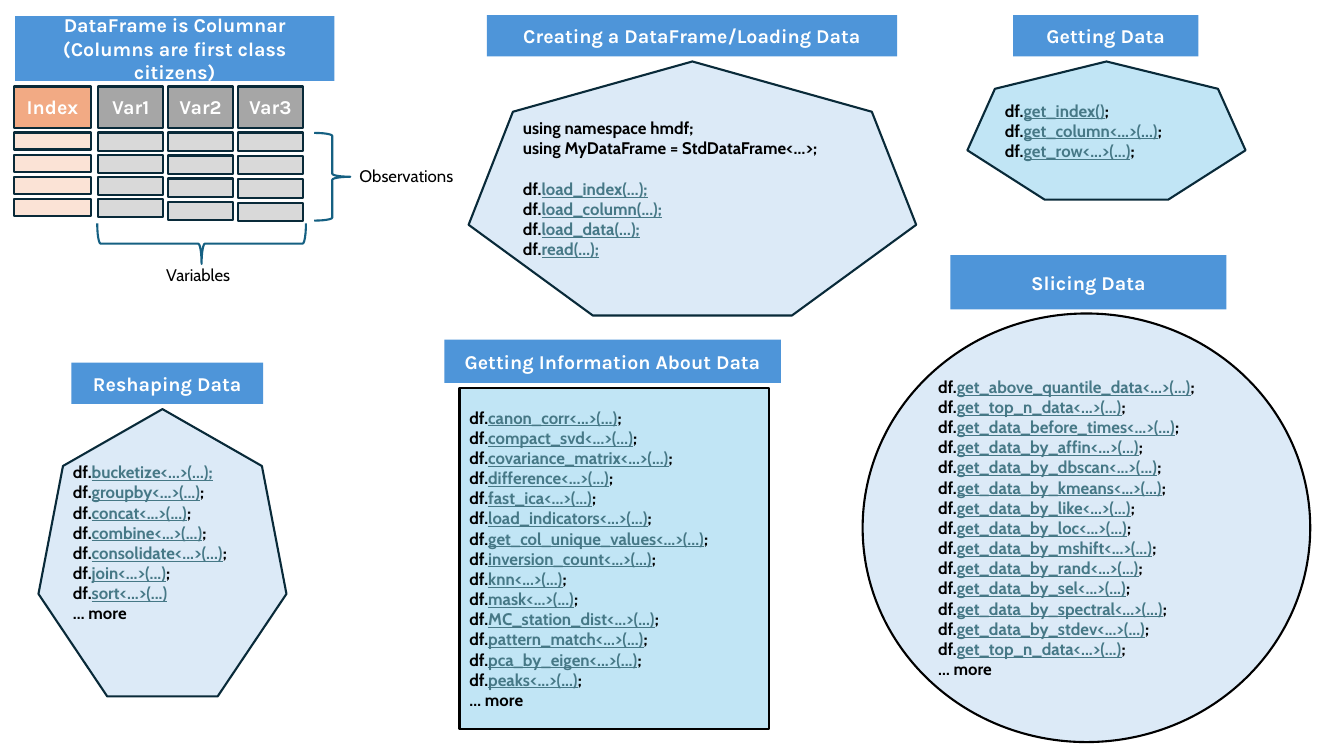
import pptx
import pptx.dml.color
import pptx.enum.shapes
import pptx.enum.text
import pptx.util

Cm = pptx.util.Cm
Pt = pptx.util.Pt
Shape = pptx.enum.shapes.MSO_SHAPE
Align = pptx.enum.text.PP_ALIGN
Anchor = pptx.enum.text.MSO_ANCHOR


def color(value):
    return pptx.dml.color.RGBColor.from_string(value)


def call(name, arguments="<...>(...)", ending=";"):
    return "df.", name + arguments, ending


def calls(names):
    return [call(name) for name in names.split()]


class CheatSheet:
    heading_font = "Karla"
    body_font = "Cabin"
    white = "FFFFFF"
    black = "000000"
    navy = "092A39"
    teal = "156082"
    link = "467886"
    banner = "4E95D9"
    pale = "DCEAF7"
    aqua = "C1E5F5"

    def __init__(self, deck):
        self.page = deck.slides.add_slide(deck.slide_layouts[6])

    def shape(self, kind, place, fill=None, line=None):
        box = self.page.shapes.add_shape(kind, *map(Cm, place))
        box.shadow.inherit = False
        if fill:
            box.fill.solid()
            box.fill.fore_color.rgb = color(fill)
        else:
            box.fill.background()
        if line:
            box.line.color.rgb = color(line)
            box.line.width = Pt(1.5)
        else:
            box.line.fill.background()
        return box

    def span(self, para, text, font, size, ink, bold=True, underline=False):
        span = para.add_run()
        span.text = text
        span.font.name = font
        span.font.size = Pt(size)
        span.font.bold = bold
        span.font.underline = underline
        span.font.color.rgb = color(ink)

    def heading(self, text, place, fill=banner, line=None):
        box = self.shape(Shape.RECTANGLE, place, fill, line)
        box.text_frame.word_wrap = True
        box.text_frame.vertical_anchor = Anchor.MIDDLE
        para = box.text_frame.paragraphs[0]
        para.alignment = Align.CENTER
        self.span(para, text, self.heading_font, 14, self.white)

    def label(self, text, place):
        box = self.page.shapes.add_textbox(*map(Cm, place))
        box.text_frame.word_wrap = True
        self.span(box.text_frame.paragraphs[0], text, self.body_font, 12, self.black, bold=False)

    def panel(self, kind, place, fill, line, rows):
        frame = self.shape(kind, place, fill, line).text_frame
        frame.word_wrap = True
        frame.vertical_anchor = Anchor.MIDDLE
        for number, row in enumerate(rows):
            para = frame.add_paragraph() if number else frame.paragraphs[0]
            para.alignment = Align.LEFT
            for position, text in enumerate(row):
                if text:
                    linked = position == 1
                    ink = self.link if linked else self.black
                    self.span(para, text, self.body_font, 12, ink, underline=linked)
        return frame

    def column(self, name, left, width, header_fill, cell_fill, cell_height, pitch):
        self.heading(name, (left, 2.18, width, 1.04), header_fill, self.navy)
        for row in range(4):
            place = (left, 3.34 + row * pitch, width, cell_height)
            self.shape(Shape.RECTANGLE, place, cell_fill, self.navy)

    def brace(self, place, rotation=0):
        self.shape(Shape.RIGHT_BRACE, place, line=self.teal).rotation = rotation


def main():
    deck = pptx.Presentation()
    deck.slide_width = Cm(33.87)
    deck.slide_height = Cm(19.05)
    sheet = CheatSheet(deck)
    more = ("… more",)

    sheet.heading("Creating a DataFrame/Loading Data", (12.27, 0.38, 10.34, 1.04))
    loading = sheet.panel(Shape.HEPTAGON, (11.81, 1.55, 11.28, 6.4), sheet.pale, sheet.navy, [
        ("using namespace hmdf;",),
        ("using MyDataFrame = StdDataFrame<…>;",),
        call("load_index", "(…);", ""),
        call("load_column", "(...);", ""),
        call("load_data", "(…);", ""),
        call("read", "(…);", ""),
    ])
    loading.paragraphs[2].space_before = Pt(14.5)

    sheet.heading("Reshaping Data", (1.8, 9.14, 4.83, 1.04))
    reshaping = sheet.panel(
        Shape.HEPTAGON, (0.97, 10.31, 6.25, 7.24), sheet.pale, sheet.navy,
        [call("bucketize", "<…>(…);", "")]
        + calls("groupby concat combine consolidate join")
        + [call("sort", ending=""), more])
    reshaping.margin_bottom = Cm(0.64)

    sheet.heading("DataFrame is Columnar (Columns are first class citizens)",
                  (0.38, 0.41, 8.05, 1.63))
    sheet.column("Index", 0.36, 1.93, "F2AA84", "FBE3D6", 0.43, 0.56)
    for number, pitch in enumerate((0.56, 0.58, 0.59)):
        sheet.column(f"Var{number + 1}", 2.48 + 1.76 * number, 1.63,
                     "A6A6A6", "D9D9D9", 0.46, pitch)
    sheet.brace((7.92, 3.35, 0.91, 2.21))
    sheet.label("Observations", (8.81, 4.04, 3.38, 0.76))
    sheet.brace((4.57, 3.51, 1.02, 5.26), 90)
    sheet.label("Variables", (3.94, 6.55, 2.51, 0.76))

    sheet.heading("Getting Data", (25.53, 0.38, 4.67, 1.04))
    sheet.panel(Shape.HEPTAGON, (24.38, 1.55, 7.01, 3.48), sheet.aqua, sheet.navy,
                [call("get_index", "()")] + calls("get_column get_row"))

    sheet.heading("Getting Information About Data", (11.2, 8.56, 8.48, 1.09))
    sheet.panel(
        Shape.RECTANGLE, (11.58, 9.78, 7.8, 8.59), sheet.aqua, sheet.black,
        [call("canon_corr"), call("compact_svd", "<…>(…)")]
        + calls("covariance_matrix difference fast_ica load_indicators "
                "get_col_unique_values inversion_count knn mask MC_station_dist "
                "pattern_match pca_by_eigen peaks")
        + [more])

    sheet.heading("Slicing Data", (23.95, 6.43, 6.96, 1.37))
    selectors = "affin dbscan kmeans like loc mshift rand sel spectral stdev"
    sheet.panel(
        Shape.OVAL, (21.74, 7.9, 11.28, 10.8), sheet.pale, sheet.black,
        calls("get_above_quantile_data get_top_n_data get_data_before_times")
        + [call("get_data_by_" + selector) for selector in selectors.split()]
        + [call("get_top_n_data"), more])

    deck.save("out.pptx")


if __name__ == "__main__":
    main()
